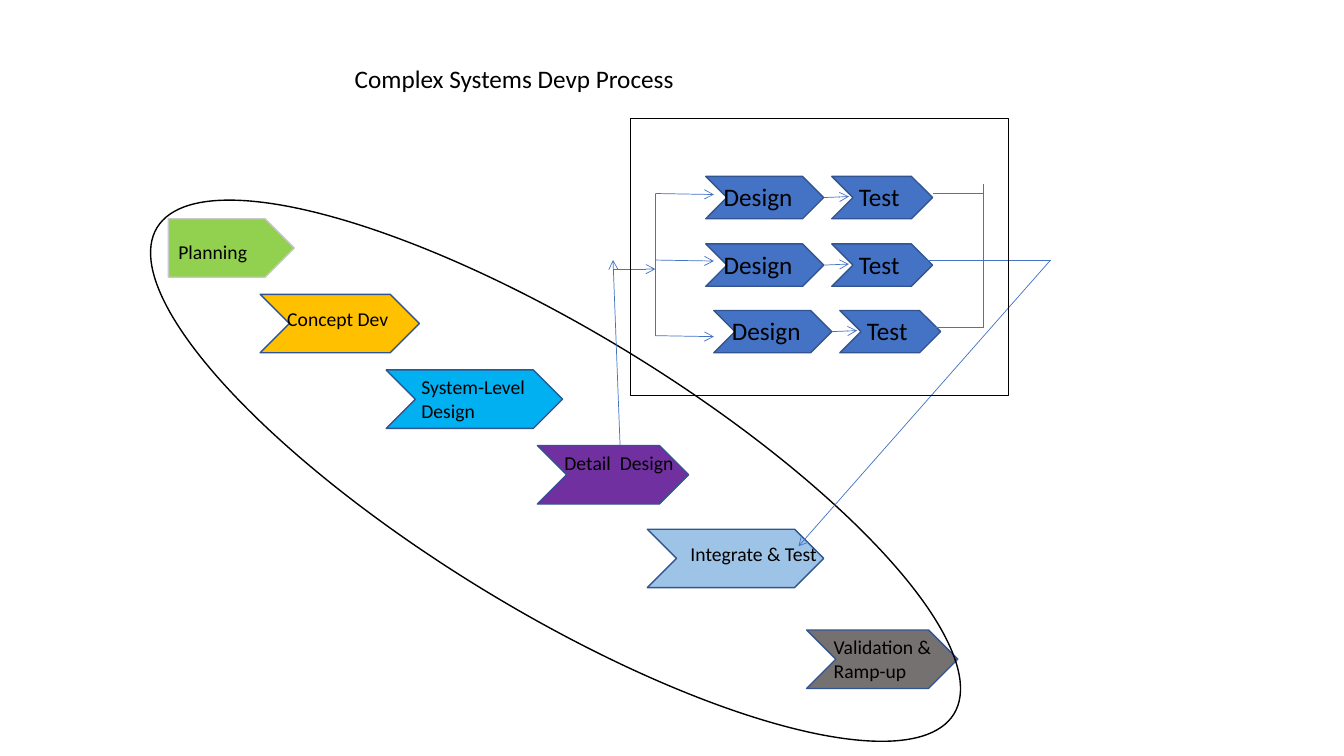
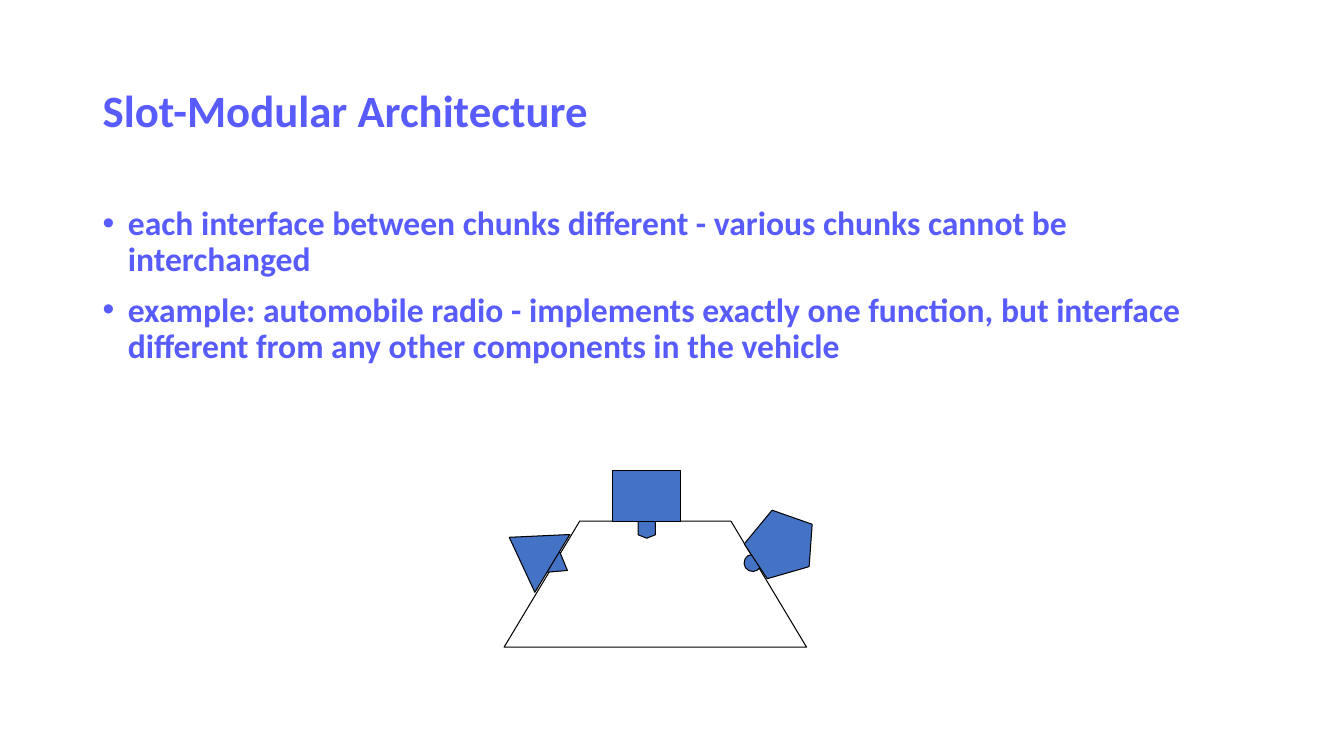
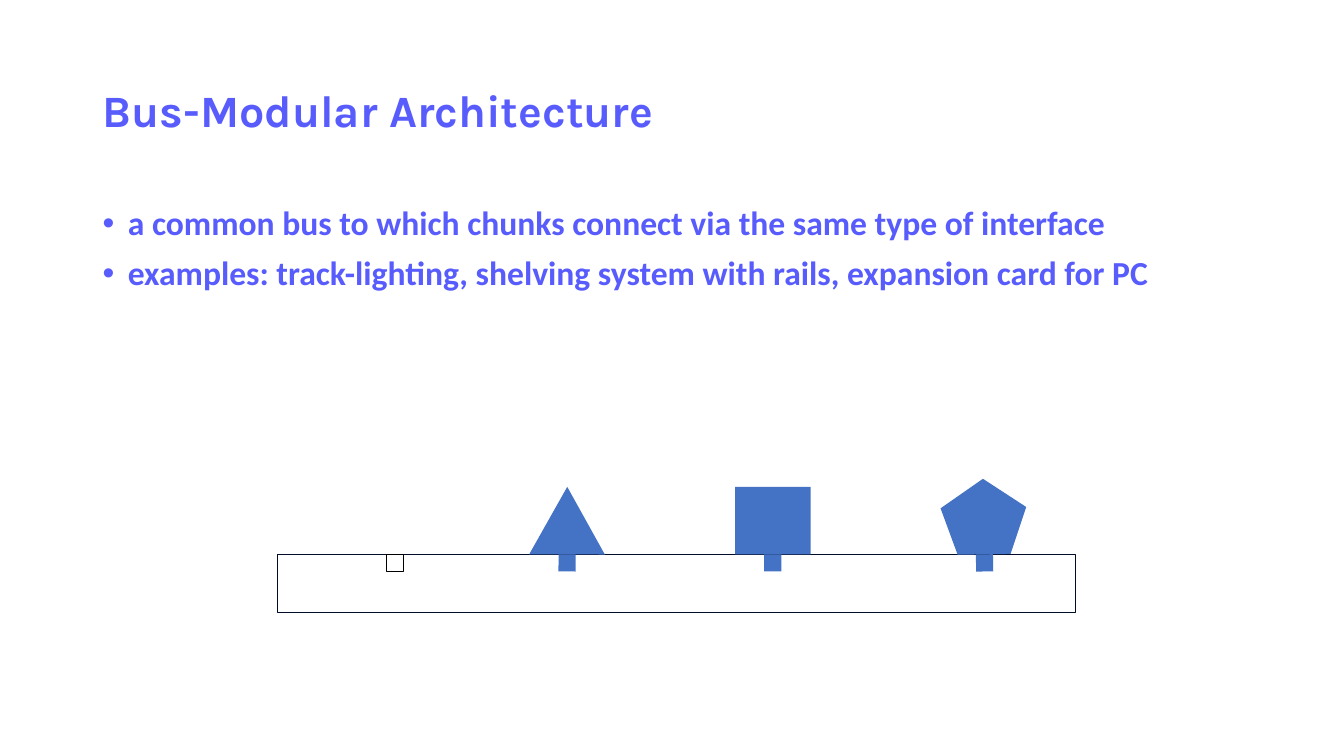
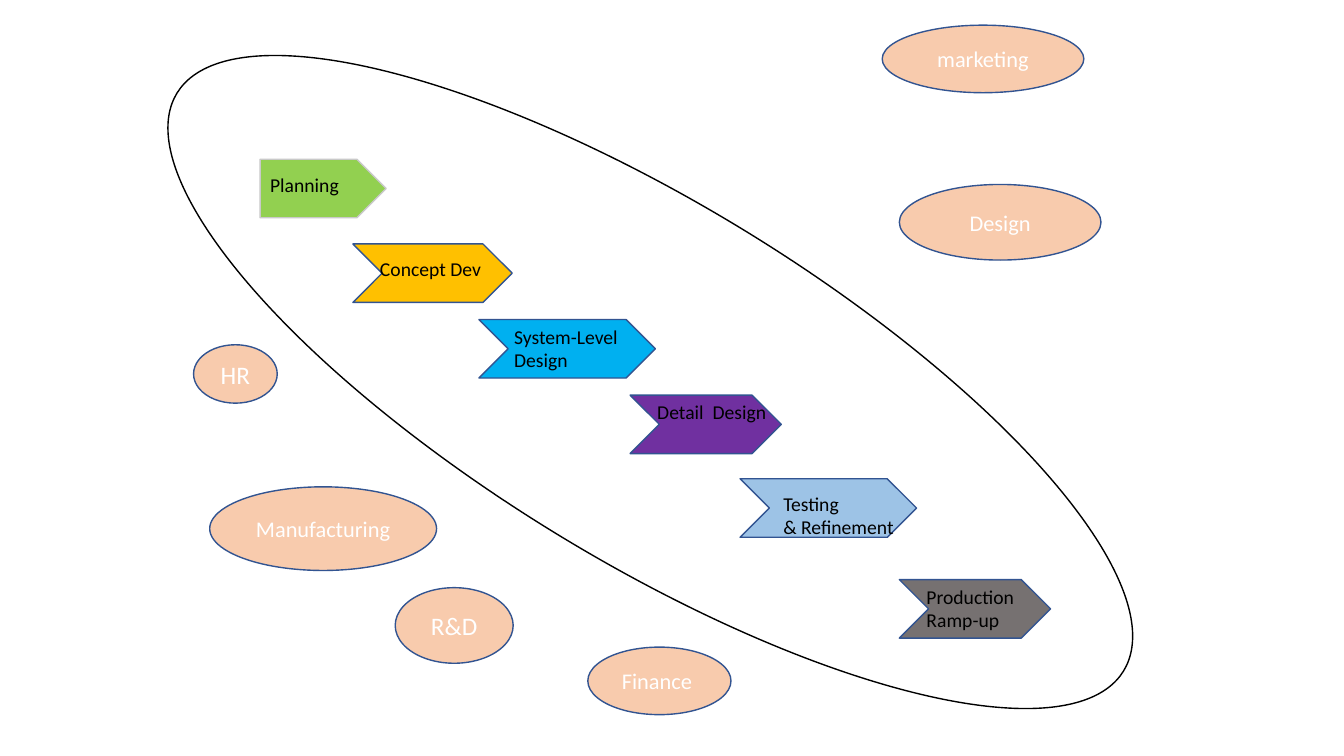
from lxml.etree import SubElement
from pptx import Presentation
from pptx.dml.color import RGBColor
from pptx.enum.shapes import MSO_CONNECTOR, MSO_SHAPE
from pptx.enum.text import MSO_ANCHOR, MSO_AUTO_SIZE, PP_ALIGN
from pptx.oxml.ns import qn
from pptx.util import Inches, Pt

BLUE, EDGE, TITLE = "4472C4", "325491", "585CFC"
BLACK, WHITE, PEACH = "000000", "FFFFFF", "F8CBAD"
FONT = "Calibri"
STEPS = [
    (0, 0, 1.58, "FFC000", 0.17, 0.08),
    (1.25, 0.75, 1.75, "00B0F0", 0.25, 0),
    (2.75, 1.5, 1.5, "7030A0", 0.17, 0),
    (3.84, 2.33, 1.75, "9DC3E6", 0.33, 0.08),
    (5.42, 3.33, 1.5, "767171", 0.17, 0),
]
EARLY = [("Concept Dev", 1.22), ("System-Level\nDesign", 1.28), ("Detail  Design", 1.3)]


def color(code):
    return RGBColor.from_string(code)


def shape(slide, kind, box, fill=None, line=None, width=1, turn=0):
    item = slide.shapes.add_shape(kind, *map(Inches, box))
    item.shadow.inherit = False
    item.rotation = turn
    if fill:
        item.fill.solid()
        item.fill.fore_color.rgb = color(fill)
    else:
        item.fill.background()
    if line:
        item.line.color.rgb = color(line)
        item.line.width = Pt(width)
    else:
        item.line.fill.background()
    return item


def write(para, text, size, ink=BLACK, bold=False, font=FONT):
    run = para.add_run()
    run.text = text
    run.font.size = Pt(size)
    run.font.name = font
    run.font.bold = bold
    run.font.color.rgb = color(ink)


def label(slide, left, top, width, text, size=14):
    lines = text.split("\n")
    height = 0.4 if size == 18 else 0.11 + 0.23 * len(lines)
    frame = slide.shapes.add_textbox(*map(Inches, (left, top, width, height))).text_frame
    frame.word_wrap = False
    frame.auto_size = MSO_AUTO_SIZE.SHAPE_TO_FIT_TEXT
    for num, line in enumerate(lines):
        para = frame.add_paragraph() if num else frame.paragraphs[0]
        write(para, line, size)


def link(slide, start, end, arrow=False):
    item = slide.shapes.add_connector(MSO_CONNECTOR.STRAIGHT, *map(Inches, start + end))
    item.line.color.rgb = color(BLUE)
    item.line.width = Pt(0.5)
    if arrow:
        SubElement(item.line._get_or_add_ln(), qn("a:tailEnd"), type="arrow")
    SubElement(item._element.spPr, qn("a:effectLst"))


def plan(slide, left, top, drop):
    shape(slide, MSO_SHAPE.PENTAGON, (left, top, 1.25, 0.58), "92D050", "C9C9C9")
    label(slide, left, top + drop, 0.89, "Planning")


def stairs(slide, left, top, names):
    for x, y, width, fill, _, _ in STEPS:
        shape(slide, MSO_SHAPE.CHEVRON, (left + x, top + y, width, 0.58), fill, EDGE)
    for (x, y, _, _, dx, dy), (text, wide) in zip(STEPS, names):
        label(slide, left + x + dx, top + y + dy, wide, text)


def ring(slide, box):
    shape(slide, MSO_SHAPE.OVAL, box, None, BLACK, 1, 31.4)


def pair(slide, left, top):
    for x, width in ((0, 1.17), (1.25, 1)):
        shape(slide, MSO_SHAPE.CHEVRON, (left + x, top, width, 0.42), BLUE, EDGE)
    label(slide, left + 0.08, top, 0.9, "Design", 18)
    label(slide, left + 1.42, top, 0.62, "Test", 18)
    link(slide, (left + 1.17, top + 0.21), (left + 1.42, top + 0.2), True)


def detail(slide, left, top):
    def wire(x1, y1, x2, y2, arrow=False):
        link(slide, (left + x1, top + y1), (left + x2, top + y2), arrow)

    for x, y in ((0.75, 0.58), (0.75, 1.25), (0.83, 1.91)):
        pair(slide, left + x, top + y)
    for y in (0.75, 1.41, 2.16):
        wire(0.25, y, 0.83, y + 0.01, True)
    wire(0.25, 0.75, 0.25, 2.16)
    for x, y in ((3, 0.75), (2.92, 1.41), (3, 2.08)):
        wire(x, y, 3.5, y)
    wire(3.5, 0.66, 3.5, 2.08)
    wire(3.5, 1.41, 4.17, 1.41)
    wire(4.17, 1.41, 1.67, 4.25, True)
    wire(-0.1, 3.25, -0.17, 1.41, True)
    wire(-0.17, 1.5, 0.25, 1.5, True)
    shape(slide, MSO_SHAPE.RECTANGLE, (left, top, 3.75, 2.75), None, BLACK, 0.25)


def heading(slide, text, font=FONT):
    frame = slide.shapes.add_textbox(*map(Inches, (0.92, 0.4, 11.5, 1.45))).text_frame
    frame.word_wrap = True
    frame.vertical_anchor = MSO_ANCHOR.MIDDLE
    para = frame.paragraphs[0]
    para.line_spacing = 0.9
    write(para, text, 32, TITLE, True, font)


def points(slide, texts):
    frame = slide.shapes.add_textbox(*map(Inches, (0.92, 2, 11.5, 4.76))).text_frame
    frame.word_wrap = True
    for num, text in enumerate(texts):
        para = frame.add_paragraph() if num else frame.paragraphs[0]
        para.line_spacing = 0.9
        para.space_before = Pt(10)
        props = para._p.get_or_add_pPr()
        props.set("marL", str(Inches(0.25)))
        props.set("indent", str(-Inches(0.25)))
        SubElement(props, qn("a:buFont"), typeface="Arial")
        SubElement(props, qn("a:buChar"), char="•")
        write(para, text, 24, TITLE, True)


def slots(slide, left, top):
    def part(kind, x, y, width, height, turn=0, fill=BLUE):
        box = (left + x, top + y, width, height)
        return shape(slide, kind, box, fill, BLACK, 0.75, turn)

    base = part(MSO_SHAPE.TRAPEZOID, 0, 0, 3, 1.25, fill=WHITE)
    base.adjustments[0] = 0.6
    part(MSO_SHAPE.FLOWCHART_OFFPAGE_CONNECTOR, 1.33, 0, 0.17, 0.17)
    part(MSO_SHAPE.RECTANGLE, 1.08, -0.5, 0.67, 0.5)
    part(MSO_SHAPE.FLOWCHART_MERGE, 0.43, 0.36, 0.25, 0.17, 301.2)
    part(MSO_SHAPE.ISOSCELES_TRIANGLE, -0.07, 0.04, 0.67, 0.5, 301.2)
    part(MSO_SHAPE.OVAL, 2.38, 0.33, 0.17, 0.17, 56.7)
    part(MSO_SHAPE.REGULAR_PENTAGON, 2.44, -0.12, 0.67, 0.67, 56.7)


def bus(slide, left, top):
    rect = MSO_SHAPE.RECTANGLE
    shape(slide, rect, (left, top, 7.92, 0.58), None, "010C29", 0.75)
    shape(slide, rect, (left + 1.08, top, 0.17, 0.17), WHITE, BLACK, 0.75)
    for kind, x, width, height, plug, turn in (
        (rect, 4.54, 0.75, 0.67, 4.83, 0),
        (MSO_SHAPE.ISOSCELES_TRIANGLE, 2.5, 0.75, 0.67, 2.79, 0.2),
        (MSO_SHAPE.REGULAR_PENTAGON, 6.58, 0.85, 0.75, 6.93, 359.1),
    ):
        shape(slide, kind, (left + x, top - height, width, height), BLUE, turn=turn)
        shape(slide, rect, (left + plug, top, 0.17, 0.17), BLUE, turn=turn)


def team(slide, text, box, size=16):
    item = shape(slide, MSO_SHAPE.OVAL, box, PEACH, EDGE)
    frame = item.text_frame
    frame.vertical_anchor = MSO_ANCHOR.MIDDLE
    para = frame.paragraphs[0]
    para.alignment = PP_ALIGN.CENTER
    write(para, text, size, WHITE)


def main():
    deck = Presentation()
    deck.slide_width, deck.slide_height = Inches(13.33), Inches(7.5)
    systems, slot, rail, teams = [deck.slides.add_slide(deck.slide_layouts[6]) for _ in range(4)]

    plan(systems, 1.67, 2.17, 0.16)
    stairs(systems, 2.58, 2.92, EARLY + [("Integrate & Test", 1.47), ("Validation &\nRamp-up", 1.23)])
    ring(systems, (0.88, 3.29, 9.26, 2.76))
    label(systems, 3.42, 0.58, 3.5, "Complex Systems Devp Process", 18)
    detail(systems, 6.25, 1.17)

    heading(slot, "Slot-Modular Architecture")
    points(slot, [
        "each interface between chunks different - various chunks cannot be interchanged",
        "example: automobile radio - implements exactly one function, but interface "
        "different from any other components in the vehicle",
    ])
    slots(slot, 5, 5.17)

    heading(rail, "Bus-Modular Architecture", "Karla")
    points(rail, [
        "a common bus to which chunks connect via the same type of interface",
        "examples: track-lighting, shelving system with rails, expansion card for PC",
    ])
    bus(rail, 2.75, 5.5)

    plan(teams, 2.58, 1.58, 0.09)
    stairs(teams, 3.5, 2.42, EARLY + [("Testing\n& Refinement", 1.31), ("Production\nRamp-up", 1.12)])
    ring(teams, (0.95, 2.02, 11, 3.54))
    team(teams, "marketing", (8.75, 0.25, 2, 0.67))
    team(teams, "Design", (8.92, 1.83, 2, 0.75))
    team(teams, "Manufacturing", (2.08, 4.83, 2.25, 0.83))
    team(teams, "R&D", (3.92, 5.83, 1.17, 0.75), 18)
    team(teams, "Finance ", (5.83, 6.42, 1.42, 0.67))
    team(teams, "HR", (1.92, 3.42, 0.83, 0.58), 18)

    deck.save("out.pptx")


if __name__ == "__main__":
    main()
